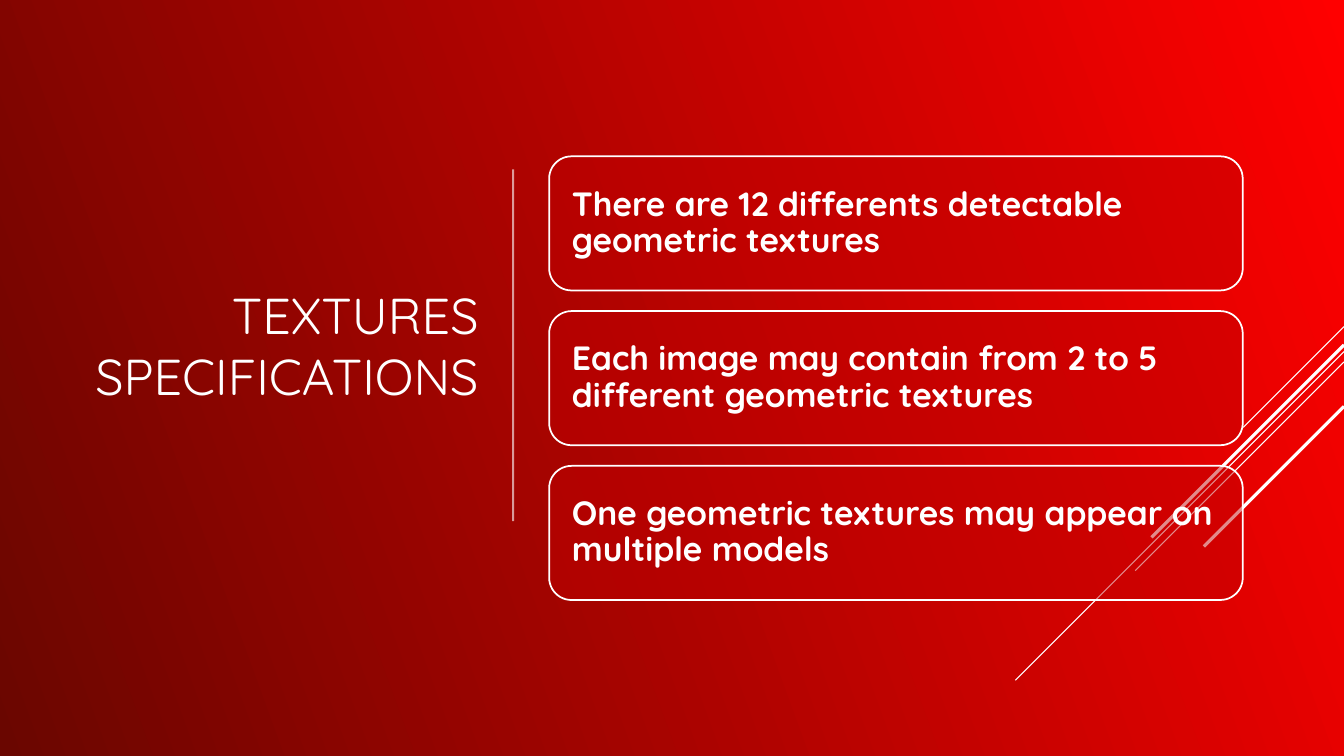
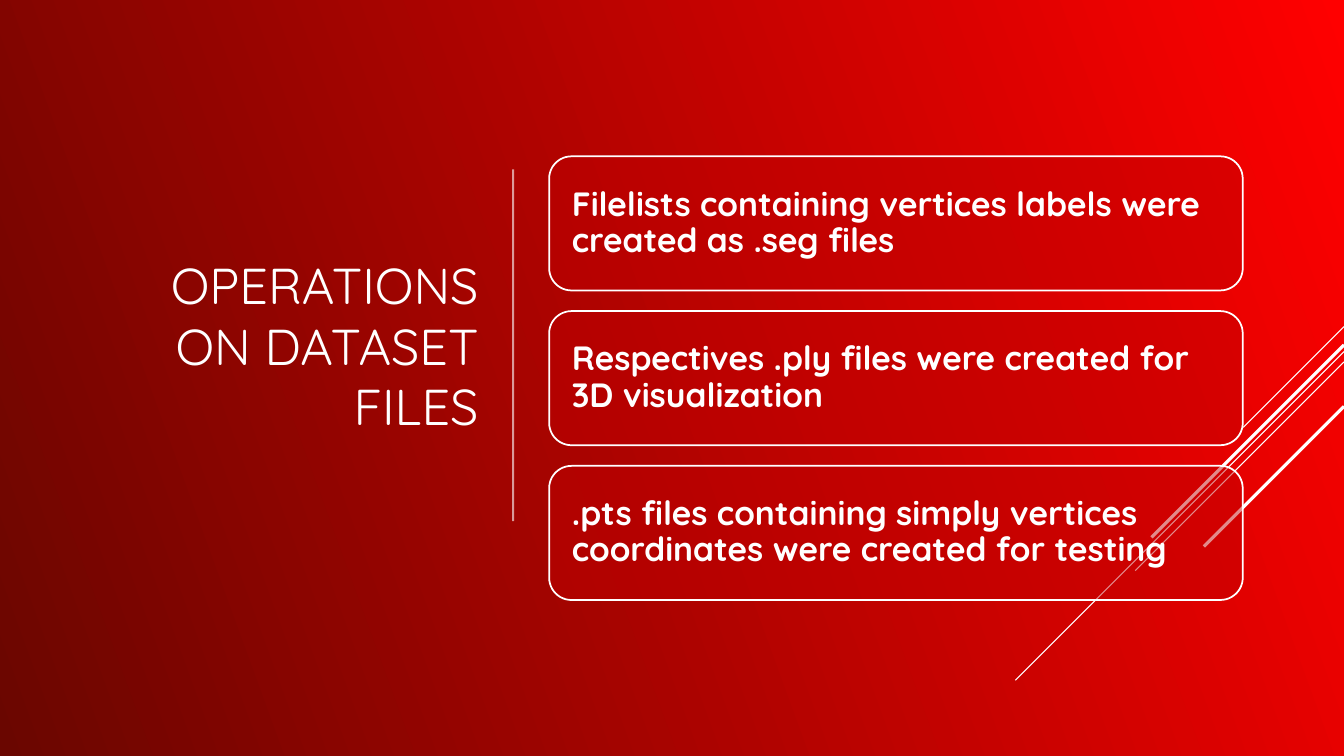
from dataclasses import dataclass

from lxml import etree
from pptx import Presentation
from pptx.dml.color import RGBColor
from pptx.enum.shapes import MSO_CONNECTOR, MSO_SHAPE
from pptx.enum.text import MSO_ANCHOR, PP_ALIGN
from pptx.oxml.ns import qn
from pptx.util import Cm, Pt

LINE = MSO_CONNECTOR.STRAIGHT
ROUNDED = MSO_SHAPE.ROUNDED_RECTANGLE
MIDDLE = MSO_ANCHOR.MIDDLE
LEFT, RIGHT = PP_ALIGN.LEFT, PP_ALIGN.RIGHT

# Theme
FONT = "Quicksand"
WHITE, CARD_RED = "FFFFFF", "C00000"
BACKGROUND = ("FF0000", "6A0600")
SLIDE_W, SLIDE_H = 33.87, 19.05

# Card column (cm)
CARD_LEFT, CARD_TOP = 13.84, 3.94
CARD_W, CARD_H, CARD_GAP = 17.48, 3.38, 0.52
CARD_INSET = 0.41


@dataclass
class Ray:
    """A 45-degree line running down and left from the right edge."""
    top: float
    reach: float
    weight: float


@dataclass
class Topic:
    title: str
    cards: list[str]


RAYS = [
    Ray(8.23, 2.54, 0.75),
    Ray(8.86, 8.28, 0.75),
    Ray(9.12, 5.26, 0.75),
    Ray(8.69, 4.85, 2.25),
    Ray(10.24, 3.53, 2.25),
]

TOPICS = [
    Topic("TEXTURES SPECIFICATIONS", [
        "There are 12 differents detectable geometric textures",
        "Each image may contain from 2 to 5 different geometric textures",
        "One geometric textures may appear on multiple models",
    ]),
    Topic("OPERATIONS ON DATASET FILES", [
        "Filelists containing vertices labels were created as .seg files",
        "Respectives .ply files were created for 3D visualization",
        ".pts files containing simply vertices coordinates were created for testing",
    ]),
]


def rgb(value: str) -> RGBColor:
    return RGBColor.from_string(value)


def set_alpha(fill, percent: int) -> None:
    """Make a solid fill partly transparent."""
    color = fill._xPr.find(qn("a:solidFill"))[0]
    etree.SubElement(color, qn("a:alpha")).set("val", str(percent * 1000))


def add_line(slide, x1: float, y1: float, x2: float, y2: float,
             weight: float, alpha: int = 100) -> None:
    sp = slide.shapes.add_connector(LINE, Cm(x1), Cm(y1), Cm(x2), Cm(y2))
    sp.line.color.rgb = rgb(WHITE)
    sp.line.width = Pt(weight)
    if alpha < 100:
        set_alpha(sp.line.fill, alpha)
    etree.SubElement(sp._element.spPr, qn("a:effectLst"))


def set_text(sp, text: str, size: int, align, bold: bool = False):
    tf = sp.text_frame
    tf.word_wrap = True
    tf.vertical_anchor = MIDDLE
    p = tf.paragraphs[0]
    p.text = text
    p.alignment = align
    p.font.name = FONT
    p.font.size = Pt(size)
    p.font.bold = bold
    p.font.color.rgb = rgb(WHITE)
    return tf


def add_card(slide, index: int, text: str) -> None:
    top = CARD_TOP + index * (CARD_H + CARD_GAP)
    sp = slide.shapes.add_shape(ROUNDED, Cm(CARD_LEFT), Cm(top), Cm(CARD_W), Cm(CARD_H))
    sp.shadow.inherit = False
    sp.fill.solid()
    sp.fill.fore_color.rgb = rgb(CARD_RED)
    set_alpha(sp.fill, 46)
    sp.line.color.rgb = rgb(WHITE)
    sp.line.width = Pt(1.25)
    tf = set_text(sp, text, 24, LEFT, bold=True)
    tf.margin_left = tf.margin_right = Cm(CARD_INSET)
    tf.paragraphs[0].line_spacing = 0.9


def set_background(master) -> None:
    fill = master.background.fill
    fill.gradient()
    fill.gradient_angle = 200
    for stop, color in zip(fill.gradient_stops, BACKGROUND):
        stop.color.rgb = rgb(color)


def add_topic(prs, topic: Topic) -> None:
    slide = prs.slides.add_slide(prs.slide_layouts[6])
    # Diagonal rays
    for ray in RAYS:
        add_line(slide, SLIDE_W, ray.top, SLIDE_W - ray.reach, ray.top + ray.reach, ray.weight)
    # Title and divider
    title = slide.shapes.add_textbox(Cm(1.9), Cm(1.9), Cm(10.41), Cm(13.59))
    set_text(title, topic.title, 36, RIGHT)
    add_line(slide, 12.93, 4.27, 12.93, 13.13, 1.5, alpha=60)
    # Cards
    for index, text in enumerate(topic.cards):
        add_card(slide, index, text)


def main() -> None:
    prs = Presentation()
    prs.slide_width, prs.slide_height = Cm(SLIDE_W), Cm(SLIDE_H)
    set_background(prs.slide_master)
    for topic in TOPICS:
        add_topic(prs, topic)
    prs.save("out.pptx")


if __name__ == "__main__":
    main()
